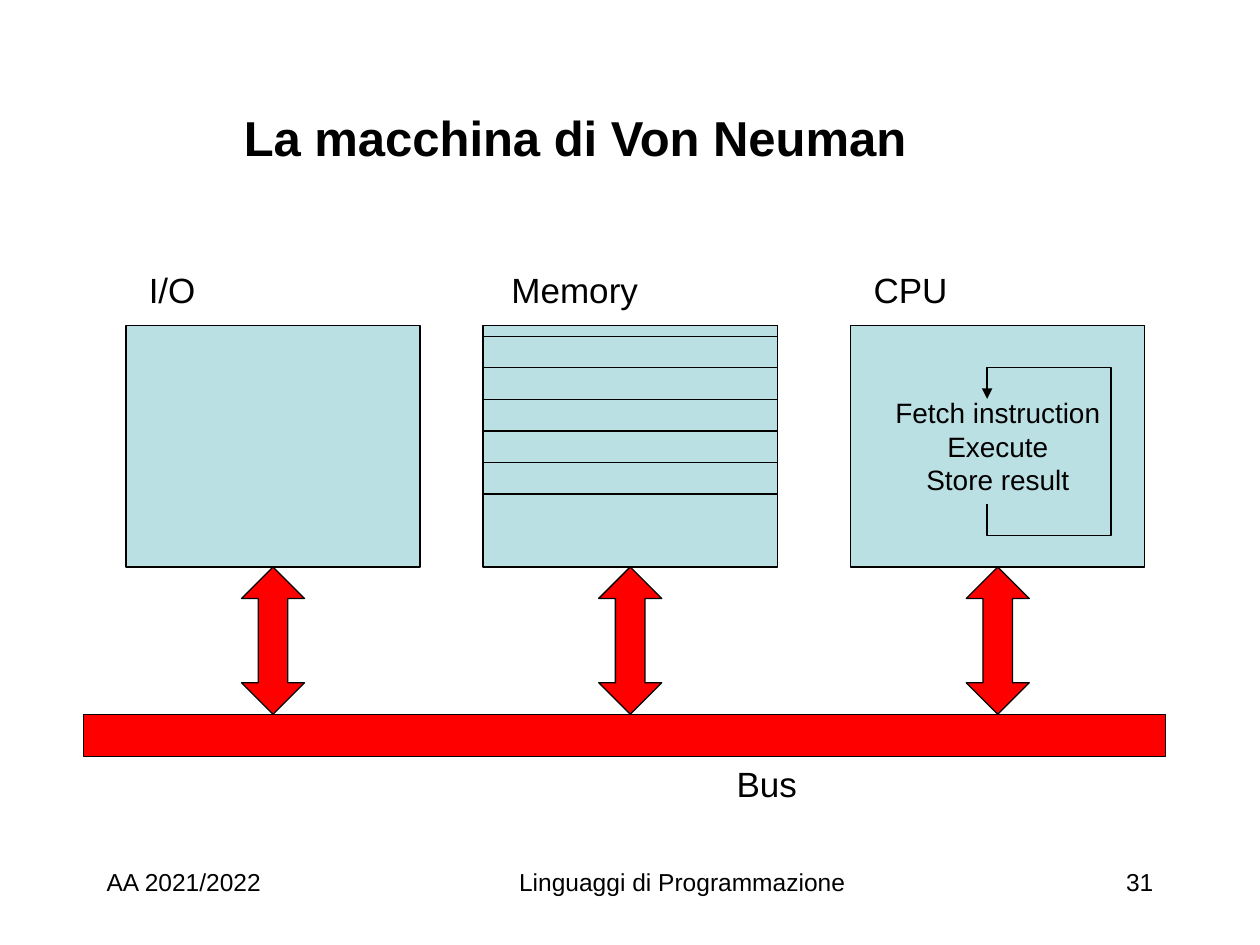
import pptx
import pptx.util
import pptx.dml.color
import pptx.enum.shapes
import pptx.enum.text
import pptx.oxml.ns
from lxml import etree

Cm, Pt = pptx.util.Cm, pptx.util.Pt
SHAPE = pptx.enum.shapes.MSO_SHAPE
ALIGN = pptx.enum.text.PP_ALIGN
ANCHOR = pptx.enum.text.MSO_ANCHOR
AUTO = pptx.enum.text.MSO_AUTO_SIZE

COLORS = {"ink": "000000", "unit": "BBE0E3", "bus": "FF0000"}


def rgb(name):
    return pptx.dml.color.RGBColor.from_string(COLORS[name])


def write(frame, lines, size, align=ALIGN.LEFT, bold=False):
    """Write lines as runs of one paragraph, split by line breaks."""
    paragraph = frame.paragraphs[0]
    paragraph.alignment = align
    for i, line in enumerate(lines):
        if i:
            paragraph.add_line_break()
        run = paragraph.add_run()
        run.text = line
        run.font.name = "Arial"
        run.font.size = Pt(size)
        run.font.bold = bold
        run.font.color.rgb = rgb("ink")


def add_text(slide, box, text, size, align=ALIGN.LEFT):
    frame = slide.shapes.add_textbox(*map(Cm, box)).text_frame
    frame.word_wrap = True
    write(frame, [text], size, align)


def outline(shape):
    shape.shadow.inherit = False
    shape.line.color.rgb = rgb("ink")
    shape.line.width = Pt(0.75)


def add_block(slide, kind, box, color):
    block = slide.shapes.add_shape(kind, *map(Cm, box))
    block.fill.solid()
    block.fill.fore_color.rgb = rgb(color)
    outline(block)
    return block


def add_title(slide, box, text):
    title = slide.shapes.title
    title.left, title.top, title.width, title.height = map(Cm, box)
    frame = title.text_frame
    frame.auto_size = AUTO.NONE
    frame.vertical_anchor = ANCHOR.MIDDLE
    write(frame, [text], 28, bold=True)


def add_unit(slide, box, label, label_box):
    """A machine unit: label above, block, and arrow down to the bus."""
    left, top, width, height = box
    dx, label_width = label_box
    add_text(slide, (left + dx, top - 1.27, label_width, 1.09), label, 20)
    block = add_block(slide, SHAPE.RECTANGLE, box, "unit")
    arrow_width = 1.27
    arrow = add_block(slide, SHAPE.UP_DOWN_ARROW,
                      (left + (width - arrow_width) / 2, top + height, arrow_width, 2.97), "bus")
    arrow.adjustments[0] = 0.5
    arrow.adjustments[1] = 0.47
    return block


def add_memory_cells(slide, box, count=5):
    left, top, width, _ = box
    cell_height = 3.18 / count
    for i in range(count):
        add_block(slide, SHAPE.RECTANGLE,
                  (left, top + 0.22 + i * cell_height, width, cell_height), "unit")


def add_cpu_cycle(slide, box, block):
    """Instruction steps in the CPU block and the loop that repeats them."""
    left, top, _, _ = box
    frame = block.text_frame
    frame.word_wrap = False
    frame.vertical_anchor = ANCHOR.MIDDLE
    write(frame, ["Fetch instruction", "Execute", "Store result"], 16, ALIGN.CENTER)

    middle, right = left + 2.75, left + 5.25
    route = [(middle, 3.6), (middle, 4.23), (right, 4.23),
             (right, 0.85), (middle, 0.85), (middle, 1.48)]
    points = [(Cm(x), Cm(top + y)) for x, y in route]
    builder = slide.shapes.build_freeform(*points[0])
    builder.add_line_segments(points[1:], close=False)
    loop = builder.convert_to_shape()
    loop.fill.background()
    outline(loop)
    etree.SubElement(loop.line._get_or_add_ln(), pptx.oxml.ns.qn("a:tailEnd"), type="triangle")


def add_bus(slide, box):
    left, top, _, height = box
    add_block(slide, SHAPE.RECTANGLE, box, "bus")
    add_text(slide, (left + 12.91, top + height, 1.9, 1.09), "Bus", 20)


def add_footer(slide, top):
    for left, width, text, align in (
        (1.9, 6.35, "AA 2021/2022", ALIGN.LEFT),
        (8.04, 11.43, "Linguaggi di Programmazione", ALIGN.CENTER),
        (18.42, 5.08, "31", ALIGN.RIGHT),
    ):
        add_text(slide, (left, top, width, 1.27), text, 14, align)


def main():
    deck = pptx.Presentation()
    deck.slide_width, deck.slide_height = Cm(25.4), Cm(19.05)
    slide = deck.slides.add_slide(deck.slide_layouts[5])

    add_title(slide, (4.66, 1.69, 18.84, 2.12), "La macchina di Von Neuman")

    # Units above the bus
    io_box, memory_box, cpu_box = [(left, 6.56, 5.93, 4.87) for left in (2.54, 9.74, 17.15)]
    add_unit(slide, io_box, "I/O", (0.21, 1.6))
    add_unit(slide, memory_box, "Memory", (0.32, 3.3))
    add_memory_cells(slide, memory_box)
    cpu = add_unit(slide, cpu_box, "CPU", (0.21, 2.2))
    add_cpu_cycle(slide, cpu_box, cpu)

    # Bus and footer
    add_bus(slide, (1.69, 14.4, 21.8, 0.85))
    add_footer(slide, 17.36)

    deck.save("out.pptx")


if __name__ == "__main__":
    main()
